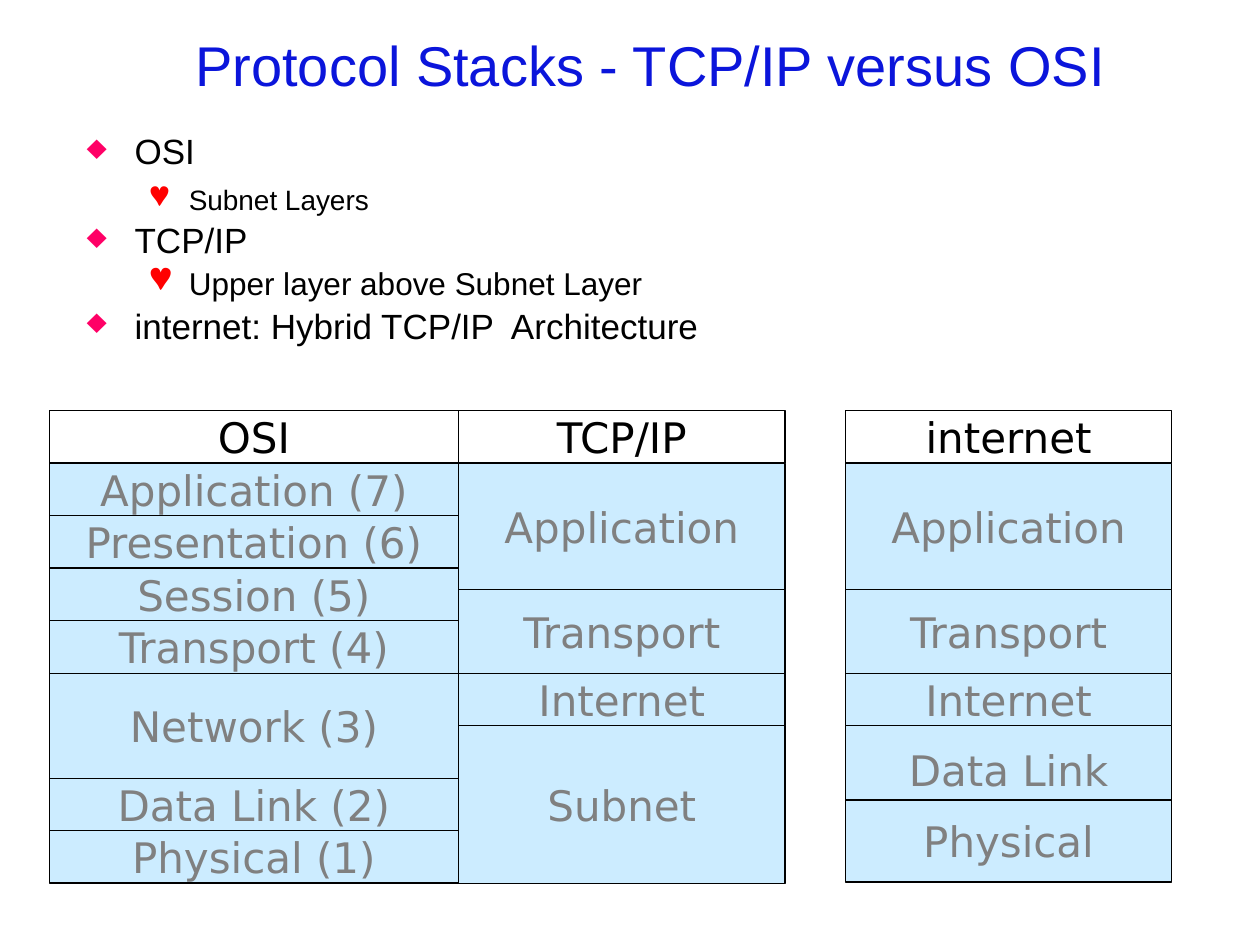
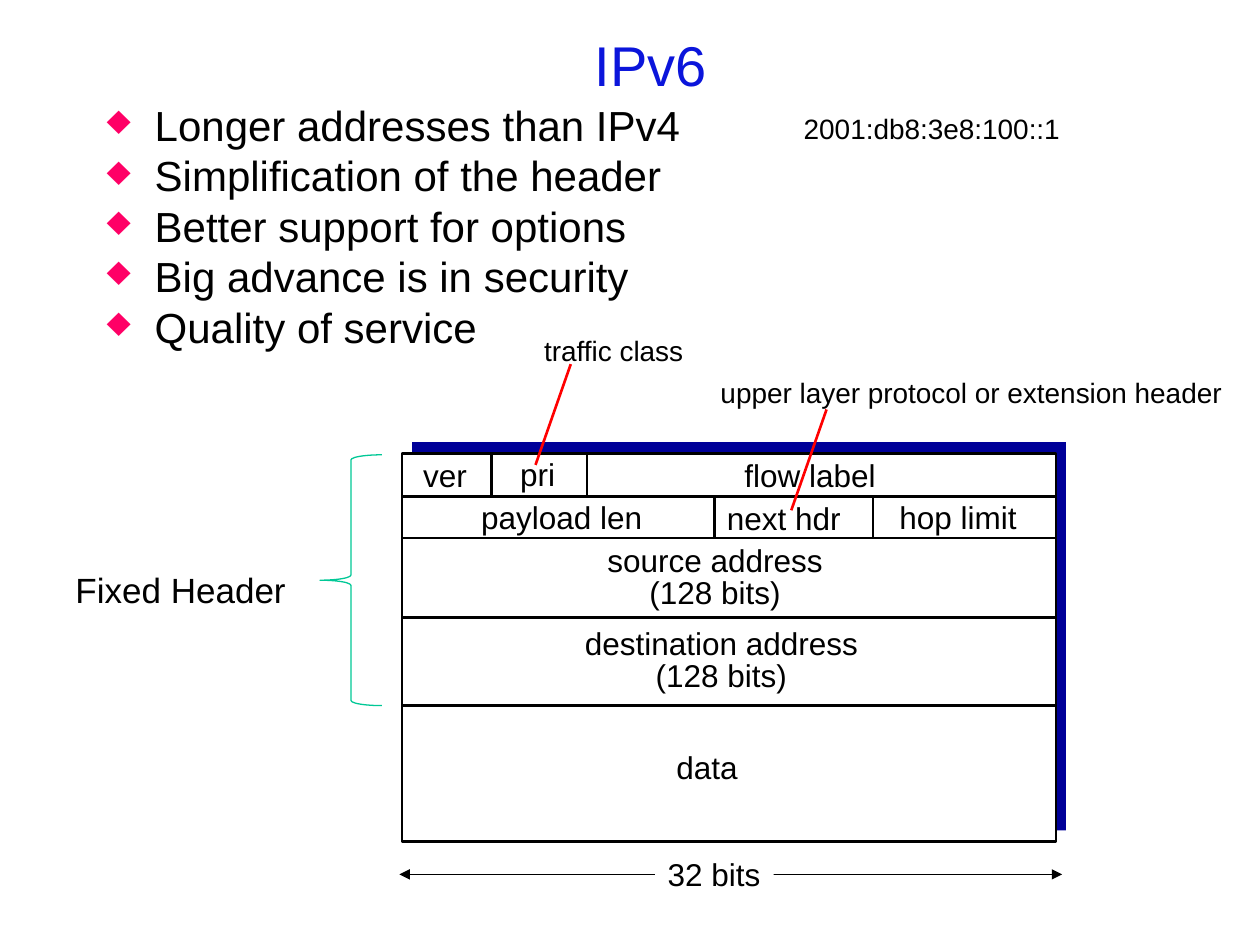
from dataclasses import dataclass

from lxml import etree
from pptx import Presentation
from pptx.dml.color import RGBColor
from pptx.enum import shapes, text
from pptx.oxml import ns
from pptx.util import Inches, Pt

LEFT, CENTER = text.PP_ALIGN.LEFT, text.PP_ALIGN.CENTER


@dataclass(frozen=True)
class Theme:
    font: str = "Arial"
    stack_font: str = "DejaVu Sans"
    black: str = "000000"
    white: str = "FFFFFF"
    title: str = "0B15DB"
    layer_fill: str = "CCECFF"
    layer_text: str = "808080"
    shadow: str = "000099"
    brace: str = "00C896"
    callout: str = "FF0000"
    bullets: tuple = (("♦", "FF0066", 0.38, 0.38), ("♥", "FF0000", 0.81, 0.31))
    title_size: int = 32
    large: int = 24
    body: int = 20
    field: int = 18
    note: int = 16
    thin: float = 0.75
    thick: float = 1.5


def add_xml(parent, tag, **attributes):
    return etree.SubElement(parent, ns.qn(tag), attributes)


class Deck:
    def __init__(self, theme):
        self.theme = theme
        self.file = Presentation()
        self.file.slide_width, self.file.slide_height = Inches(10), Inches(7.5)
        self.slide = None

    def new_slide(self, title):
        self.slide = self.file.slides.add_slide(self.file.slide_layouts[6])
        heading = self.text_frame(0.75, 0.09, 8.83, 0.83)
        heading.vertical_anchor = text.MSO_ANCHOR.MIDDLE
        self.set_text(heading.paragraphs[0], title, self.theme.title_size,
                      self.theme.title, CENTER)

    def text_frame(self, left, top, width, height):
        box = self.slide.shapes.add_textbox(*map(Inches, (left, top, width, height)))
        box.text_frame.word_wrap = True
        return box.text_frame

    def set_text(self, paragraph, words, size, color=None, align=LEFT, font=None):
        paragraph.text = words
        paragraph.alignment = align
        paragraph.font.size = Pt(size)
        paragraph.font.name = font or self.theme.font
        paragraph.font.color.rgb = RGBColor.from_string(color or self.theme.black)

    def bullets(self, left, top, width, height, items, line_spacing=1.0):
        """Add items of (words, size, level, space before in points)."""
        frame = self.text_frame(left, top, width, height)
        for i, (words, size, level, before) in enumerate(items):
            paragraph = frame.add_paragraph() if i else frame.paragraphs[0]
            mark, color, margin, hanging = self.theme.bullets[level]
            paragraph.level = level
            properties = paragraph._p.get_or_add_pPr()
            properties.set("marL", str(Inches(margin)))
            properties.set("indent", str(-Inches(hanging)))
            add_xml(add_xml(properties, "a:buClr"), "a:srgbClr", val=color)
            add_xml(properties, "a:buChar", char=mark)
            paragraph.line_spacing = line_spacing
            if i:
                paragraph.space_before = Pt(before)
            self.set_text(paragraph, words, size)

    def label(self, left, top, width, height, lines, size=None, wrap=False,
              align=LEFT, line_spacing=None):
        frame = self.text_frame(left, top, width, height)
        frame.word_wrap = wrap
        frame.auto_size = text.MSO_AUTO_SIZE.SHAPE_TO_FIT_TEXT
        for i, words in enumerate(lines.split("\n")):
            paragraph = frame.add_paragraph() if i else frame.paragraphs[0]
            paragraph.line_spacing = line_spacing
            self.set_text(paragraph, words, size or self.theme.field, align=align)

    def shape(self, kind, left, top, width, height, fill=None, line=None, weight=0.75):
        shape = self.slide.shapes.add_shape(
            kind, *map(Inches, (left, top, width, height)))
        shape.shadow.inherit = False
        if fill:
            shape.fill.solid()
            shape.fill.fore_color.rgb = RGBColor.from_string(fill)
        else:
            shape.fill.background()
        if line:
            shape.line.color.rgb = RGBColor.from_string(line)
            shape.line.width = Pt(weight)
        else:
            shape.line.fill.background()
        return shape

    def rectangle(self, *place, **style):
        return self.shape(shapes.MSO_SHAPE.RECTANGLE, *place, **style)

    def layer(self, left, top, width, height, name, header=False):
        theme = self.theme
        box = self.rectangle(left, top, width, height, line=theme.black,
                             fill=None if header else theme.layer_fill)
        frame = box.text_frame
        frame.word_wrap = False
        frame.vertical_anchor = text.MSO_ANCHOR.MIDDLE
        self.set_text(frame.paragraphs[0], name, theme.large,
                      theme.black if header else theme.layer_text, CENTER,
                      theme.stack_font)

    def stack(self, left, top, width, unit, layers):
        """Pile up (name, height in units) layers; the first is the header."""
        for i, (name, units) in enumerate(layers):
            self.layer(left, top, width, units * unit, name, header=i == 0)
            top += units * unit

    def line(self, x1, y1, x2, y2, color=None, weight=None, arrows=False):
        line = self.slide.shapes.add_connector(
            shapes.MSO_CONNECTOR.STRAIGHT, *map(Inches, (x1, y1, x2, y2)))
        line.line.color.rgb = RGBColor.from_string(color or self.theme.black)
        line.line.width = Pt(weight or self.theme.thick)
        if arrows:
            outline = line.line._get_or_add_ln()
            for end in ("a:headEnd", "a:tailEnd"):
                add_xml(outline, end, type="triangle")
        add_xml(line._element.spPr, "a:effectLst")


def protocol_stacks(deck):
    theme = deck.theme
    deck.new_slide("Protocol Stacks - TCP/IP versus OSI")
    deck.bullets(0.59, 1.02, 8.78, 1.75, [
        ("OSI", theme.body, 0, 4),
        ("Subnet Layers", theme.note, 1, 8),
        ("TCP/IP", theme.body, 0, 4),
        ("Upper layer above Subnet Layer", theme.field, 1, 3.6),
        ("internet: Hybrid TCP/IP  Architecture", theme.body, 0, 4),
    ], line_spacing=0.9)

    top, unit, narrow = 3.26, 3.75 / 9, 2.59
    internet_left = 6.71
    upper = [("Application", 2.4), ("Transport", 1.6), ("Internet", 1)]
    deck.stack(0.39, top, 3.25, unit, [
        ("OSI", 1), ("Application (7)", 1), ("Presentation (6)", 1),
        ("Session (5)", 1), ("Transport (4)", 1), ("Network (3)", 2),
        ("Data Link (2)", 1), ("Physical (1)", 1)])
    deck.stack(3.64, top, narrow, unit, [("TCP/IP", 1), *upper, ("Subnet", 3)])
    deck.layer(internet_left, 5.75, narrow, 0.71, "Data Link")
    deck.layer(internet_left, 6.35, narrow, 0.65, "Physical")
    deck.stack(internet_left, top, narrow, unit, [("internet", 1), *upper])


def ipv6(deck):
    theme = deck.theme
    deck.new_slide("IPv6")
    deck.bullets(0.75, 0.74, 8.5, 2.18, [
        (words, theme.large, 0, 0) for words in (
            "Longer addresses than IPv4", "Simplification of the header",
            "Better support for options", "Big advance is in security",
            "Quality of service")])
    deck.label(0.5, 4.46, 2.05, 0.44, "Fixed Header", theme.body, wrap=True)

    left, top, width, height = 3.19, 3.6, 5.19, 3.08
    deck.rectangle(left + 0.08, top - 0.09, width, height, fill=theme.shadow)
    deck.rectangle(left, top, width, height, fill=theme.white,
                   line=theme.black, weight=theme.thick)
    first_row, second_row = 3.94, 4.27
    for row_bottom in (first_row, second_row, 4.9, 5.6):
        deck.line(left, row_bottom, left + width, row_bottom)
    for row_top, row_bottom, dividers in ((top, first_row, (3.9, 4.66)),
                                          (first_row, second_row, (5.67, 6.93))):
        for x in dividers:
            deck.line(x, row_top, x, row_bottom)

    for x, y, label_width, field in (
            (5.27, 5.89, 0.69, "data"), (3.72, 3.9, 1.48, "payload len"),
            (5.67, 3.91, 1.1, "next hdr"), (7.04, 3.9, 1.13, "hop limit"),
            (5.81, 3.57, 1.24, "flow label"), (4.03, 3.56, 0.48, "pri"),
            (3.26, 3.57, 0.55, "ver")):
        deck.label(x, y, label_width, 0.4, field)
    for x, y, label_width, address in ((4.54, 4.95, 2.37, "destination address"),
                                       (4.72, 4.29, 1.91, "source address")):
        deck.label(x, y, label_width, 0.61, address + "\n(128 bits)",
                   align=CENTER, line_spacing=0.85)

    deck.line(3.17, 6.94, 8.43, 6.94, weight=theme.thin, arrows=True)
    deck.rectangle(5.2, 6.74, 0.94, 0.4, fill=theme.white)
    deck.label(5.2, 6.74, 0.94, 0.4, "32 bits")
    deck.shape(shapes.MSO_SHAPE.LEFT_BRACE, 2.54, 3.61, 0.49, 1.99,
               line=theme.brace, weight=theme.thin)

    deck.label(5.62, 2.93, 4.23, 0.37, "upper layer protocol or extension header",
               theme.note)
    deck.label(4.22, 2.6, 1.32, 0.37, "traffic class", theme.note)
    for x, y in ((6.28, 4.05), (4.25, 3.69)):
        deck.line(x, y, x + 0.28, y - 0.8, color=theme.callout)
    deck.label(6.28, 0.84, 2.35, 0.37, "2001:db8:3e8:100::1", theme.note, wrap=True)


def main():
    deck = Deck(Theme())
    protocol_stacks(deck)
    ipv6(deck)
    deck.file.save("out.pptx")


if __name__ == "__main__":
    main()
